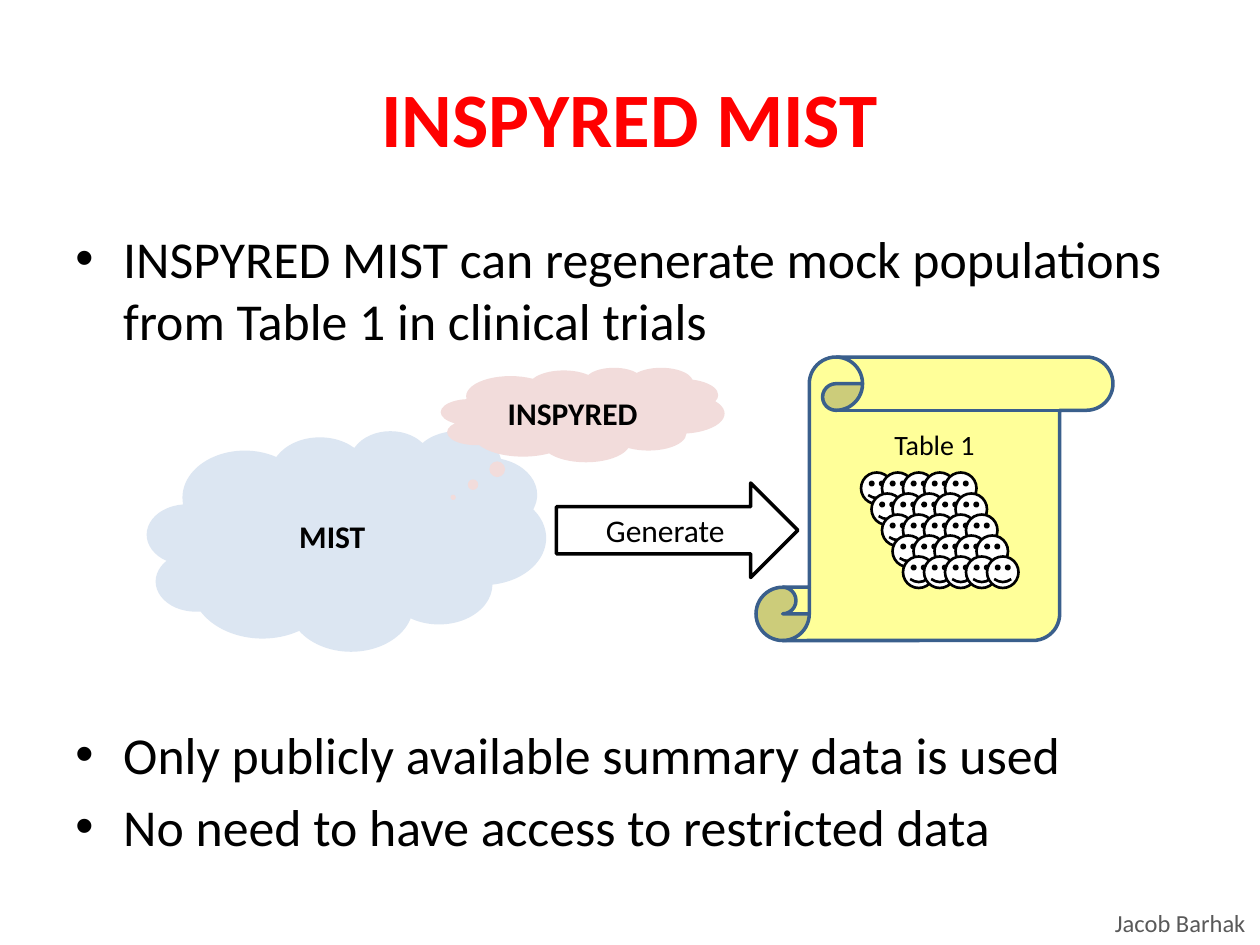
from pptx import Presentation
from pptx.dml.color import RGBColor
from pptx.enum.shapes import MSO_SHAPE
from pptx.enum.text import MSO_ANCHOR, PP_ALIGN
from pptx.oxml.ns import qn
from pptx.util import Inches, Pt
from lxml import etree

CLOUD = MSO_SHAPE.CLOUD_CALLOUT
SCROLL = MSO_SHAPE.VERTICAL_SCROLL
SMILE = MSO_SHAPE.SMILEY_FACE
ARROW = MSO_SHAPE.RIGHT_ARROW
TOP, MID = MSO_ANCHOR.TOP, MSO_ANCHOR.MIDDLE
LEFT, MIDST = PP_ALIGN.LEFT, PP_ALIGN.CENTER

COLS, ROWS = 120, 90
WIDE, HIGH = Inches(10), Inches(7.5)
HUES = {
    "black": "000000", "white": "FFFFFF", "red": "FF0000", "gray": "595959",
    "blue": "DCE6F2", "pink": "F2DCDB", "cream": "FFFF99", "navy": "3A5F8C",
}


def hue(name):
    return RGBColor.from_string(HUES[name])


def place(box):
    x, y, w, h = box
    return (round(x * WIDE / COLS), round(y * HIGH / ROWS),
            round(w * WIDE / COLS), round(h * HIGH / ROWS))


def style(para, size, color="black", bold=False, align=MIDST):
    para.alignment = align
    para.font.name = "Calibri"
    para.font.size = Pt(size)
    para.font.bold = bold
    para.font.color.rgb = hue(color)


def write(slide, box, text, size, color, bold=False, align=MIDST, wrap=True, anchor=TOP):
    frame = slide.shapes.add_textbox(*place(box)).text_frame
    frame.word_wrap = wrap
    frame.vertical_anchor = anchor
    frame.text = text
    style(frame.paragraphs[0], size, color, bold, align)


def draw(slide, kind, box, fill, line=None, width=2, adjust=()):
    shape = slide.shapes.add_shape(kind, *place(box))
    shape.shadow.inherit = False
    shape.fill.solid()
    shape.fill.fore_color.rgb = hue(fill)
    if line:
        shape.line.color.rgb = hue(line)
        shape.line.width = Pt(width)
    else:
        shape.line.fill.background()
    for i, value in enumerate(adjust):
        shape.adjustments[i] = value
    return shape


def label(shape, text, size, bold=False, anchor=MID):
    frame = shape.text_frame
    frame.vertical_anchor = anchor
    frame.text = text
    style(frame.paragraphs[0], size, bold=bold)


def list_points(slide, box, points):
    frame = slide.shapes.add_textbox(*place(box)).text_frame
    frame.word_wrap = True
    for i, (text, gap) in enumerate(points):
        para = frame.paragraphs[0] if i == 0 else frame.add_paragraph()
        para.text = text
        para.space_before = Pt(gap)
        style(para, 29.6, align=LEFT)
        props = para._p.get_or_add_pPr()
        props.set("marL", str(Inches(0.38)))
        props.set("indent", str(-Inches(0.38)))
        etree.SubElement(props, qn("a:buFont")).set("typeface", "Arial")
        etree.SubElement(props, qn("a:buChar")).set("char", "•")


def draw_clouds(slide, box):
    x, y, w, h = box
    mist = draw(slide, CLOUD, (x, y + 6, 38, h - 6), "blue", adjust=(0.018, -0.008))
    label(mist, "MIST", 18, True)
    tool = draw(slide, CLOUD, (x + w - 27, y, 27, 9), "pink", adjust=(-0.457, 0.874))
    label(tool, "INSPYRED", 18, True)


def draw_scroll(slide, box):
    x, y, w, h = box
    scroll = draw(slide, SCROLL, box, "cream", "navy", adjust=(0.188,))
    label(scroll, "Table 1", 16, anchor=TOP)
    scroll.text_frame.margin_top = Inches(0.14)
    for row in range(5):
        for col in range(5):
            spot = (x + 10 + row + 2 * col, y + 11 + 2 * row, 3, 3)
            draw(slide, SMILE, spot, "white", "black", 1.5)


def main():
    deck = Presentation()
    deck.slide_width, deck.slide_height = WIDE, HIGH
    slide = deck.slides.add_slide(deck.slide_layouts[6])
    write(slide, (105, 85.9, 15, 4.1), "Jacob Barhak", 14, "gray", align=LEFT, wrap=False)
    write(slide, (6, 3.6, 108, 15), "INSPYRED MIST", 44, "red", True, anchor=MID)
    list_points(slide, (6, 21, 108, 59.4), [
        ("INSPYRED MIST can regenerate mock populations from Table 1 in clinical trials", 0),
        ("Only publicly available summary data is used", 212.5),
        ("No need to have access to restricted data", 5.4),
    ])
    draw_clouds(slide, (14, 35, 55, 27))
    draw_scroll(slide, (72, 34, 34, 27))
    arrow = draw(slide, ARROW, (53, 46, 23, 9), "white", "black")
    label(arrow, "Generate", 18)
    deck.save("out.pptx")


if __name__ == "__main__":
    main()
